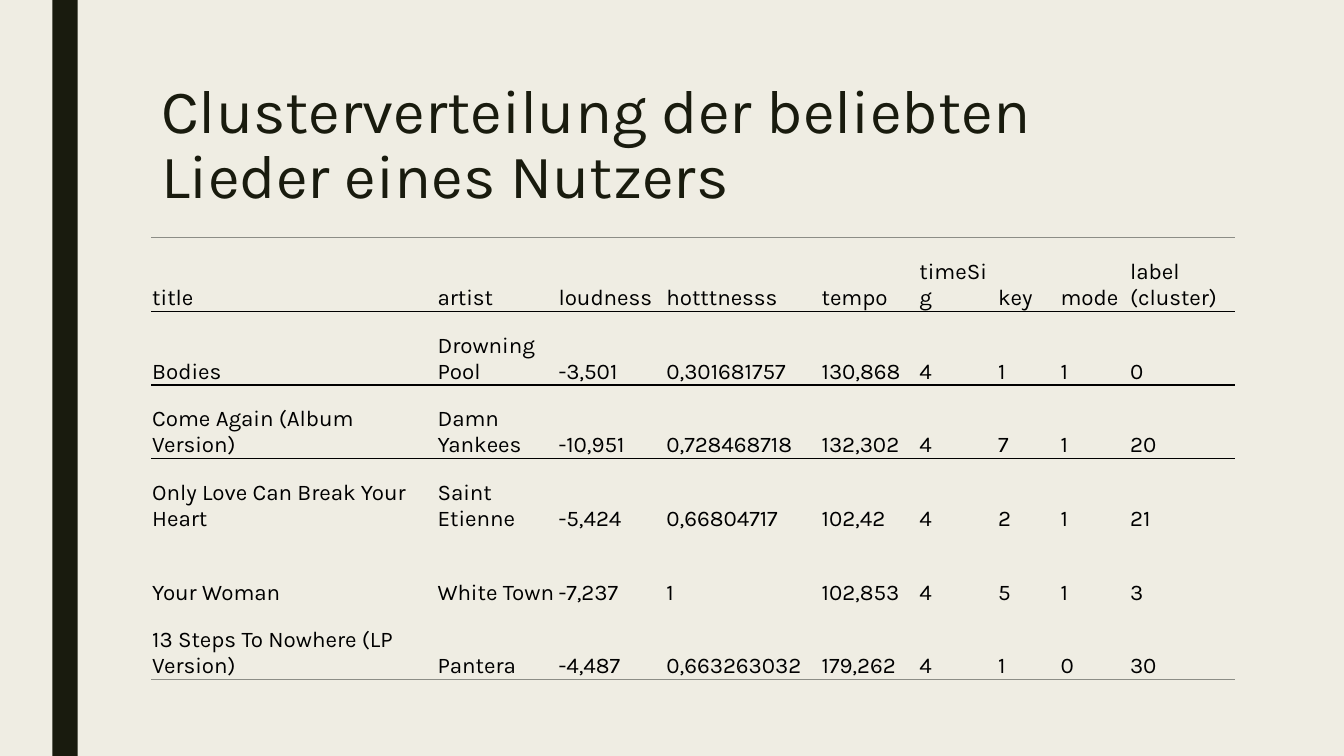
import lxml.etree
import pptx
import pptx.dml.color
import pptx.enum.shapes
import pptx.enum.text
import pptx.oxml.ns
import pptx.util

Inches = pptx.util.Inches
Pt = pptx.util.Pt
RGBColor = pptx.dml.color.RGBColor
Anchor = pptx.enum.text.MSO_ANCHOR
qn = pptx.oxml.ns.qn

CREAM = RGBColor(0xEF, 0xED, 0xE3)
DARK = RGBColor(0x19, 0x1B, 0x0E)
BLACK = RGBColor(0, 0, 0)
GRAY = RGBColor(0x8C, 0x8D, 0x86)

PLAIN_TABLE_STYLE = "{2D5ABB26-0587-4C30-8999-92F81FD0307C}"
ROW_HEIGHT = 0.73
COLUMN_WIDTHS = [2.83, 1.2, 1.07, 1.54, 0.97, 0.78, 0.62, 0.69, 1.05]
SONGS = [
    ["title", "artist", "loudness", "hotttnesss", "tempo", "timeSig", "key", "mode", "label (cluster)"],
    ["Bodies", "Drowning Pool", "-3,501", "0,301681757", "130,868", "4", "1", "1", "0"],
    ["Come Again (Album Version)", "Damn Yankees", "-10,951", "0,728468718", "132,302", "4", "7", "1", "20"],
    ["Only Love Can Break Your Heart", "Saint Etienne", "-5,424", "0,66804717", "102,42", "4", "2", "1", "21"],
    ["Your Woman", "White Town", "-7,237", "1", "102,853", "4", "5", "1", "3"],
    ["13 Steps To Nowhere (LP Version)", "Pantera", "-4,487", "0,663263032", "179,262", "4", "1", "0", "30"],
]
ROW_BORDERS = {
    0: {"lnT": GRAY, "lnB": BLACK},
    1: {"lnT": BLACK, "lnB": BLACK},
    2: {"lnT": BLACK},
    len(SONGS) - 1: {"lnB": GRAY},
}


def apply_format(target, values):
    """Set each named attribute of the target."""
    for name, value in values.items():
        setattr(target, name, value)


class SlideBuilder:
    """Hold the style and the current slide, and add elements to it."""

    def __init__(self, slide, font_name):
        self.slide = slide
        self.font_name = font_name
        slide.background.fill.solid()
        slide.background.fill.fore_color.rgb = CREAM

    def add_text(self, frame, text, size, color, line_spacing=1.0):
        """Put styled text into the first paragraph of a frame."""
        paragraph = frame.paragraphs[0]
        paragraph.line_spacing = line_spacing
        run = paragraph.add_run()
        run.text = text
        apply_format(run.font, {"name": self.font_name, "size": Pt(size), "bold": False})
        run.font.color.rgb = color

    def add_bar(self, left, top, width, height, color):
        """Add a filled rectangle without outline."""
        shape = self.slide.shapes.add_shape(
            pptx.enum.shapes.MSO_SHAPE.RECTANGLE,
            Inches(left), Inches(top), Inches(width), Inches(height))
        shape.shadow.inherit = False
        shape.fill.solid()
        shape.fill.fore_color.rgb = color
        shape.line.fill.background()

    def add_title(self, left, top, width, height, text):
        """Add the slide title."""
        box = self.slide.shapes.add_textbox(
            Inches(left), Inches(top), Inches(width), Inches(height))
        apply_format(box.text_frame, {"word_wrap": True, "vertical_anchor": Anchor.TOP})
        self.add_text(box.text_frame, text, 44, DARK, 0.89)

    def add_border(self, cell, index, side, color):
        """Add a one-point line on one side of a cell."""
        line = lxml.etree.Element(qn("a:" + side), w=str(Pt(1)))
        fill = lxml.etree.SubElement(line, qn("a:solidFill"))
        lxml.etree.SubElement(fill, qn("a:srgbClr"), val=str(color))
        cell._tc.get_or_add_tcPr().insert(index, line)

    def add_table(self, left, top, rows, widths, row_height, borders):
        """Add an unfilled table with horizontal rules."""
        table = self.slide.shapes.add_table(
            len(rows), len(widths), Inches(left), Inches(top),
            Inches(sum(widths)), Inches(row_height * len(rows))).table
        apply_format(table, {"first_row": False, "horz_banding": False})
        table._tbl.tblPr.find(qn("a:tableStyleId")).text = PLAIN_TABLE_STYLE
        for column, width in zip(table.columns, widths):
            column.width = Inches(width)
        cell_format = {
            "vertical_anchor": Anchor.BOTTOM, "margin_left": Inches(0.01),
            "margin_right": Inches(0.01), "margin_top": Inches(0.01), "margin_bottom": 0,
        }
        for row_index, texts in enumerate(rows):
            table.rows[row_index].height = Inches(row_height)
            for column_index, text in enumerate(texts):
                cell = table.cell(row_index, column_index)
                apply_format(cell, cell_format)
                cell.fill.background()
                self.add_text(cell.text_frame, text, 16, BLACK)
                for index, (side, color) in enumerate(borders.get(row_index, {}).items()):
                    self.add_border(cell, index, side, color)


presentation = pptx.Presentation()
apply_format(presentation, {"slide_width": Inches(13.33), "slide_height": Inches(7.5)})
builder = SlideBuilder(presentation.slides.add_slide(presentation.slide_layouts[6]), "Karla")
builder.add_bar(0.52, 0, 0.25, 7.5, DARK)
builder.add_title(1.5, 0.75, 10.5, 1.62, "Clusterverteilung der beliebten Lieder eines Nutzers")
builder.add_table(1.5, 2.36, SONGS, COLUMN_WIDTHS, ROW_HEIGHT, ROW_BORDERS)
presentation.save("out.pptx")
